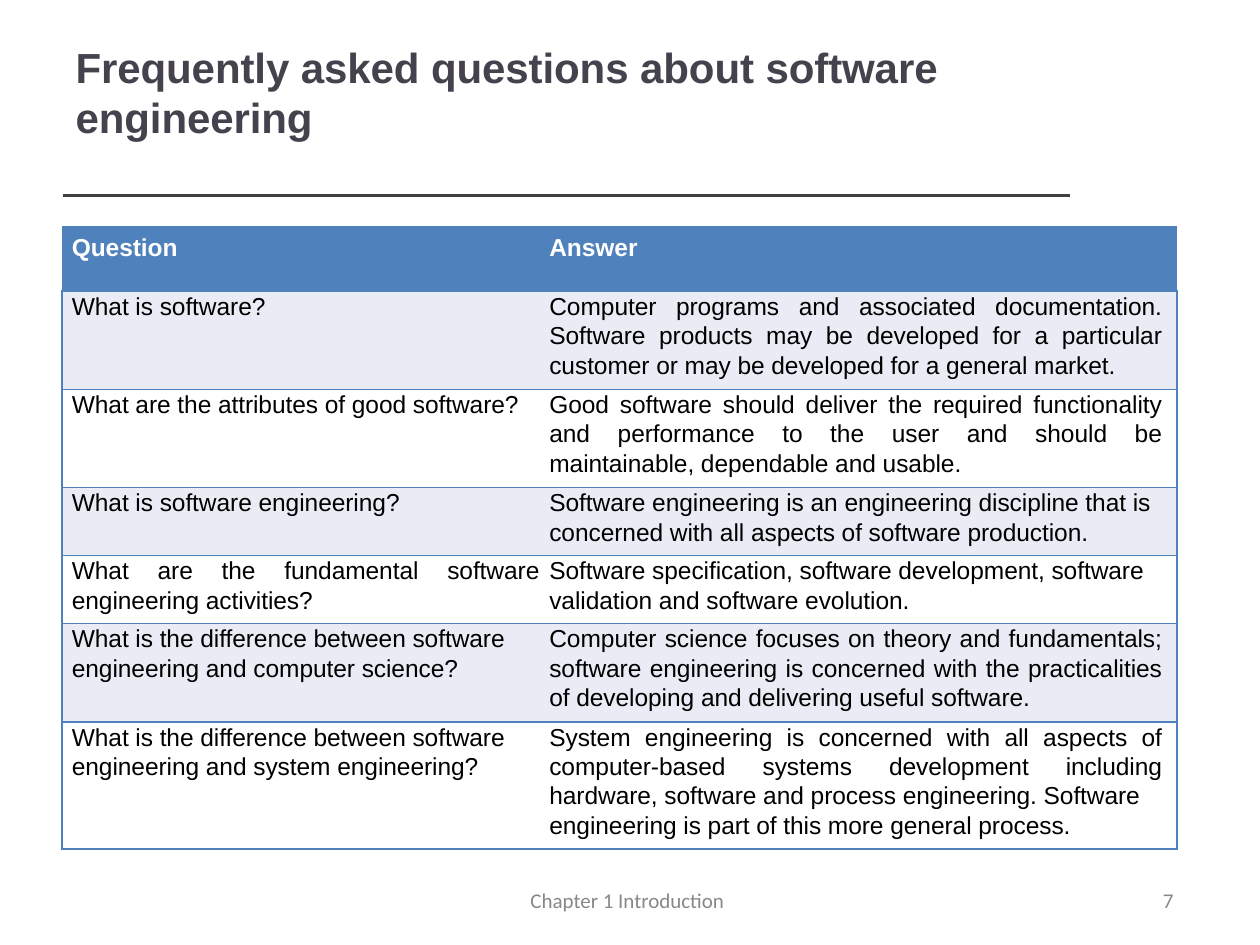
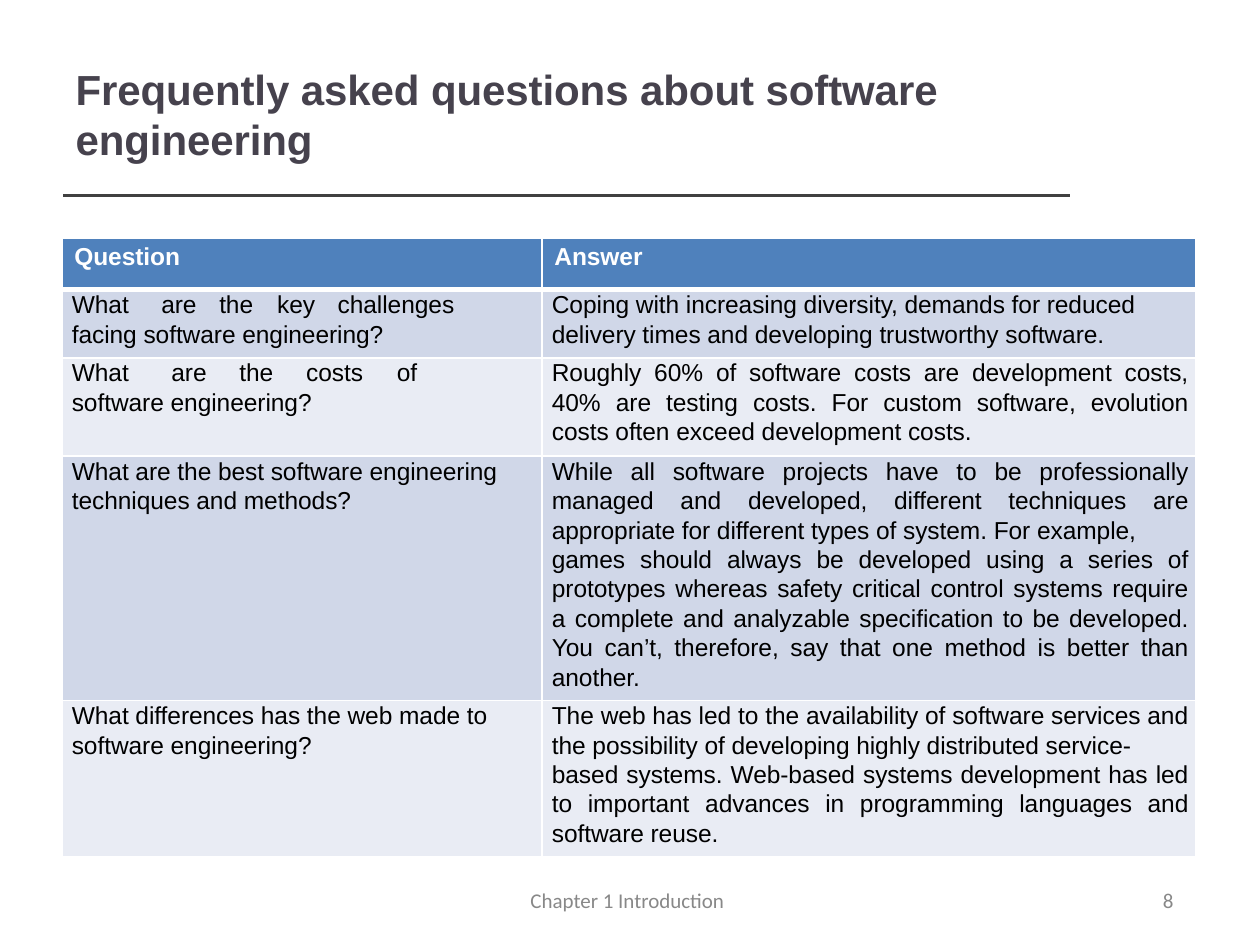
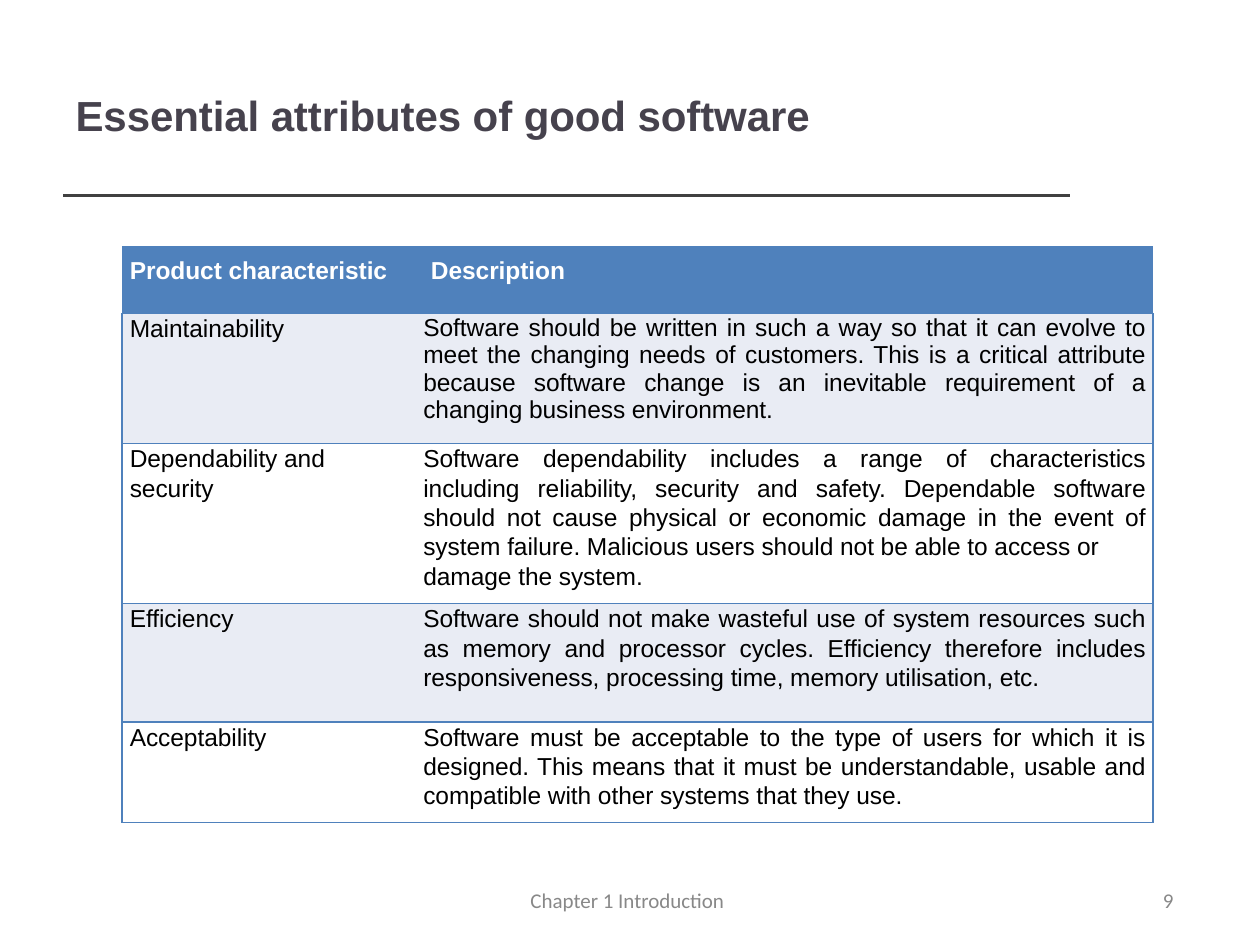
from dataclasses import dataclass
from typing import NamedTuple

from lxml.etree import SubElement
from pptx import Presentation
from pptx.dml.color import RGBColor
from pptx.enum.shapes import MSO_CONNECTOR
from pptx.enum.text import MSO_ANCHOR, MSO_AUTO_SIZE, PP_ALIGN
from pptx.oxml import parse_xml
from pptx.oxml.ns import nsdecls, qn
from pptx.util import Inches, Pt

LEFT, JUSTIFY = PP_ALIGN.LEFT, PP_ALIGN.JUSTIFY


@dataclass(frozen=True)
class Theme:
    """Colours, fonts and type sizes of the deck."""
    title: str = "46424D"
    rule: str = "404040"
    footer: str = "888888"
    text: str = "000000"
    white: str = "FFFFFF"
    blue: str = "4F81BC"
    pale: str = "E9ECF4"
    mid: str = "D0D7E8"
    font: str = "Arial"
    footer_font: str = "Calibri"
    title_size: float = 24
    table_size: float = 14
    footer_size: float = 12
    title_leading: float = 28.6
    table_leading: float = 16.8
    tracking: int = -5  # hundredths of a point


class Entry(NamedTuple):
    """Table text that departs from the column's usual format."""
    text: str
    align: PP_ALIGN = LEFT
    right: float = 0.0
    tabs: tuple = ()
    leading: float = Theme.table_leading


class TableLook(NamedTuple):
    """Geometry and colouring of one table."""
    at: tuple
    cols: tuple
    rows: tuple
    bands: tuple
    indents: tuple
    right: float
    header_top: float
    header_indent: float
    grid: bool = False


def set_all(target, **values):
    """Set several attributes on one object."""
    for name, value in values.items():
        setattr(target, name, value)


class Deck:
    """Holds the theme, the presentation and the current slide."""

    def __init__(self, theme):
        self.theme = theme
        self.prs = Presentation()
        set_all(self.prs, slide_width=Inches(10), slide_height=Inches(7.5))
        self.s = None

    def new_slide(self, title, top, width, height, number):
        """Add a slide with its title, rule and footer."""
        self.s = self.prs.slides.add_slide(self.prs.slide_layouts[5])
        self.title(title, top, width, height)
        self.rule()
        self.footer("Chapter 1 Introduction", 4.2, 1.61, 0.01)
        self.footer(str(number), 9.2, 0.23, 0.03)

    def style(self, p, color, size, font=None, bold=False, tracking=0):
        """Format every run of a paragraph."""
        for r in p.runs:
            set_all(r.font, name=font or self.theme.font, size=Pt(size), bold=bold)
            r.font.color.rgb = RGBColor.from_string(color)
            if tracking:
                r.font._element.set("spc", str(tracking))

    def frame(self, tf, left=0.0, top=0.0):
        """Give a text frame fixed margins and top anchoring."""
        set_all(tf, word_wrap=True, auto_size=MSO_AUTO_SIZE.NONE,
                vertical_anchor=MSO_ANCHOR.TOP, margin_left=Inches(left),
                margin_top=Inches(top), margin_right=0, margin_bottom=0)

    def title(self, text, top, width, height):
        """Fill and place the title placeholder."""
        t, sp = self.theme, self.s.shapes.title
        set_all(sp, left=Inches(0.59), top=Inches(top),
                width=Inches(width), height=Inches(height))
        self.frame(sp.text_frame, 0.01, 0.01)
        sp.text_frame.text = text
        p = sp.text_frame.paragraphs[0]
        set_all(p, alignment=LEFT, line_spacing=Pt(t.title_leading))
        self.style(p, t.title, t.title_size, bold=True, tracking=t.tracking)

    def rule(self):
        """Draw the line under the title."""
        line = self.s.shapes.add_connector(
            MSO_CONNECTOR.STRAIGHT, Inches(0.5), Inches(1.55), Inches(8.49), Inches(1.55))
        line.line.color.rgb = RGBColor.from_string(self.theme.rule)
        line.line.width = Pt(2)
        SubElement(line._element.spPr, qn("a:effectLst"))

    def footer(self, text, left, width, indent):
        """Add one footer text."""
        t = self.theme
        sp = self.s.shapes.add_textbox(Inches(left), Inches(7.07), Inches(width), Inches(0.19))
        self.frame(sp.text_frame, indent)
        p = sp.text_frame.paragraphs[0]
        p.text = text
        p.line_spacing = Pt(12.4)
        self.style(p, t.footer, t.footer_size, t.footer_font)

    def borders(self, cell, lines):
        """Set the four borders from a dict of side to (colour, points)."""
        tc_pr = cell._tc.get_or_add_tcPr()
        for i, side in enumerate("LRTB"):
            color, width = lines.get(side, (None, 1))
            fill = (f'<a:solidFill><a:srgbClr val="{color}"/></a:solidFill>'
                    if color else "<a:noFill/>")
            tc_pr.insert(i, parse_xml(
                f'<a:ln{side} {nsdecls("a")} w="{Pt(width)}">{fill}</a:ln{side}>'))

    def tabs(self, p, stops):
        """Add left tab stops, in inches."""
        tab_list = SubElement(p._p.get_or_add_pPr(), qn("a:tabLst"))
        for stop in stops:
            SubElement(tab_list, qn("a:tab"), pos=str(Inches(stop)), algn="l")

    def cell(self, cell, entry, fill, indent, top=0.0, header=False):
        """Fill and format one table cell."""
        t = self.theme
        set_all(cell, text=entry.text, vertical_anchor=MSO_ANCHOR.TOP,
                margin_left=Inches(indent), margin_right=Inches(entry.right),
                margin_top=Inches(top), margin_bottom=0)
        cell.fill.solid()
        cell.fill.fore_color.rgb = RGBColor.from_string(fill)
        for p in cell.text_frame.paragraphs:
            p.alignment = entry.align
            if not header:
                p.line_spacing = Pt(entry.leading)
            if entry.tabs:
                self.tabs(p, entry.tabs)
            self.style(p, t.white if header else t.text, t.table_size,
                       bold=header, tracking=t.tracking)

    def cell_lines(self, look, row, col):
        """Return the borders that a cell has in this look."""
        t = self.theme
        if look.grid:
            lines = {side: (t.white, 1) for side in "LRTB"}
            if row < 2:
                lines["B" if row == 0 else "T"] = (t.white, 3)
            return lines
        if row == 0:
            return {}
        sides = "TB" + ("L" if col == 0 else "R")
        return {side: (t.blue, 1) for side in sides}

    def table(self, look, header, body):
        """Add a table; a short header row spans all columns."""
        t = self.theme
        left, top = look.at
        tbl = self.s.shapes.add_table(
            len(look.rows), len(look.cols), Inches(left), Inches(top),
            Inches(sum(look.cols)), Inches(sum(look.rows))).table
        tbl.horz_banding = False
        for sizes, lines, name in ((look.cols, tbl.columns, "width"),
                                   (look.rows, tbl.rows, "height")):
            for size, line in zip(sizes, lines):
                setattr(line, name, Inches(size))
        if len(header) < len(look.cols):
            tbl.cell(0, 0).merge(tbl.cell(0, len(look.cols) - 1))
        for col, entry in enumerate(header):
            self.cell(tbl.cell(0, col), entry, t.blue, look.header_indent,
                      look.header_top, header=True)
        for row, entries in enumerate(body, 1):
            for col, entry in enumerate(entries):
                if isinstance(entry, str):
                    entry = Entry(entry, JUSTIFY, look.right) if col else Entry(entry)
                self.cell(tbl.cell(row, col), entry, look.bands[(row - 1) % 2],
                          look.indents[col])
        for row in range(len(look.rows)):
            for col in range(len(look.cols)):
                self.borders(tbl.cell(row, col), self.cell_lines(look, row, col))


theme = Theme()
deck = Deck(theme)
FAQ_TITLE = "Frequently asked questions about software engineering"
FAQ_HEADER = (Entry("Question"), Entry("Answer"))

deck.new_slide(FAQ_TITLE, 0.32, 6.9, 0.83, 7)
deck.table(
    TableLook(at=(0.49, 1.79), cols=(3.79, 5.06),
              rows=(0.52, 0.78, 0.78, 0.54, 0.54, 0.78, 1.01),
              bands=(theme.pale, theme.white), indents=(0.08, 0.08), right=0.12,
              header_top=0.07, header_indent=0.08),
    FAQ_HEADER,
    [("What is software?",
      "Computer programs and associated documentation. Software products may be "
      "developed for a particular customer or may be developed for a general market."),
     ("What are the attributes of good software?",
      "Good software should deliver the required functionality and performance to "
      "the user and should be maintainable, dependable and usable."),
     ("What is software engineering?",
      Entry("Software engineering is an engineering discipline that is concerned "
            "with all aspects of software production.", right=0.12)),
     (Entry("What are the fundamental software engineering activities?", JUSTIFY),
      Entry("Software specification, software development, software validation and "
            "software evolution.", right=0.12)),
     ("What is the difference between software engineering and computer science?",
      "Computer science focuses on theory and fundamentals; software engineering is "
      "concerned with the practicalities of developing and delivering useful software."),
     ("What is the difference between software engineering and system engineering?",
      "System engineering is concerned with all aspects of computer-based systems "
      "development including hardware, software and process engineering. Software\n"
      "engineering is part of this more general process.")])

deck.new_slide(FAQ_TITLE, 0.5, 6.9, 0.83, 8)
deck.table(
    TableLook(at=(0.49, 1.89), cols=(3.81, 5.19), rows=(0.41, 0.54, 0.78, 1.94, 1.24),
              bands=(theme.mid, theme.pale), indents=(0.08, 0.08), right=0.06,
              header_top=0.04, header_indent=0.1, grid=True),
    FAQ_HEADER,
    [(Entry("What\tare\tthe\tkey\tchallenges\tfacing software engineering?",
            right=0.69, tabs=(0.71, 1.17, 1.63, 2.11, 3.22)),
      Entry("Coping with increasing diversity, demands for reduced delivery times "
            "and developing trustworthy software.", right=0.06)),
     (Entry("What\tare\tthe\tcosts\tof\tsoftware engineering?",
            right=0.98, tabs=(0.79, 1.33, 1.86, 2.58, 3)),
      "Roughly 60% of software costs are development costs, 40% are testing costs. "
      "For custom software, evolution costs often exceed development costs."),
     ("What are the best software engineering techniques and methods?",
      "While all software projects have to be professionally managed and developed, "
      "different techniques are appropriate for different types of system. For example,\n"
      "games should always be developed using a series of prototypes whereas safety "
      "critical control systems require a complete and analyzable specification to be "
      "developed. You can’t, therefore, say that one method is better than another."),
     ("What differences has the web made to software engineering?",
      "The web has led to the availability of software services and the possibility "
      "of developing highly distributed service-\n"
      "based systems. Web-based systems development has led to important advances in "
      "programming languages and software reuse.")])

deck.new_slide("Essential attributes of good software", 0.7, 5.88, 0.43, 9)
deck.table(
    TableLook(at=(0.97, 1.95), cols=(2, 6.18), rows=(0.54, 1.03, 1.27, 0.94, 0.8),
              bands=(theme.pale, theme.white), indents=(0.06, 0.39), right=0.06,
              header_top=0.09, header_indent=0.06),
    (Entry("Product characteristic\tDescription", tabs=(2.39,)),),
    [("Maintainability",
      Entry("Software should be written in such a way so that it can evolve to meet the "
            "changing needs of customers. This is a critical attribute because software "
            "change is an inevitable requirement of a changing business environment.",
            JUSTIFY, 0.06, leading=15.8)),
     ("Dependability and security",
      "Software dependability includes a range of characteristics including "
      "reliability, security and safety. Dependable software should not cause physical "
      "or economic damage in the event of system failure. Malicious users should not be "
      "able to access or\ndamage the system."),
     ("Efficiency",
      "Software should not make wasteful use of system resources such as memory and "
      "processor cycles. Efficiency therefore includes responsiveness, processing time, "
      "memory utilisation, etc."),
     ("Acceptability",
      "Software must be acceptable to the type of users for which it is designed. This "
      "means that it must be understandable, usable and compatible with other systems "
      "that they use.")])

deck.prs.save("out.pptx")
